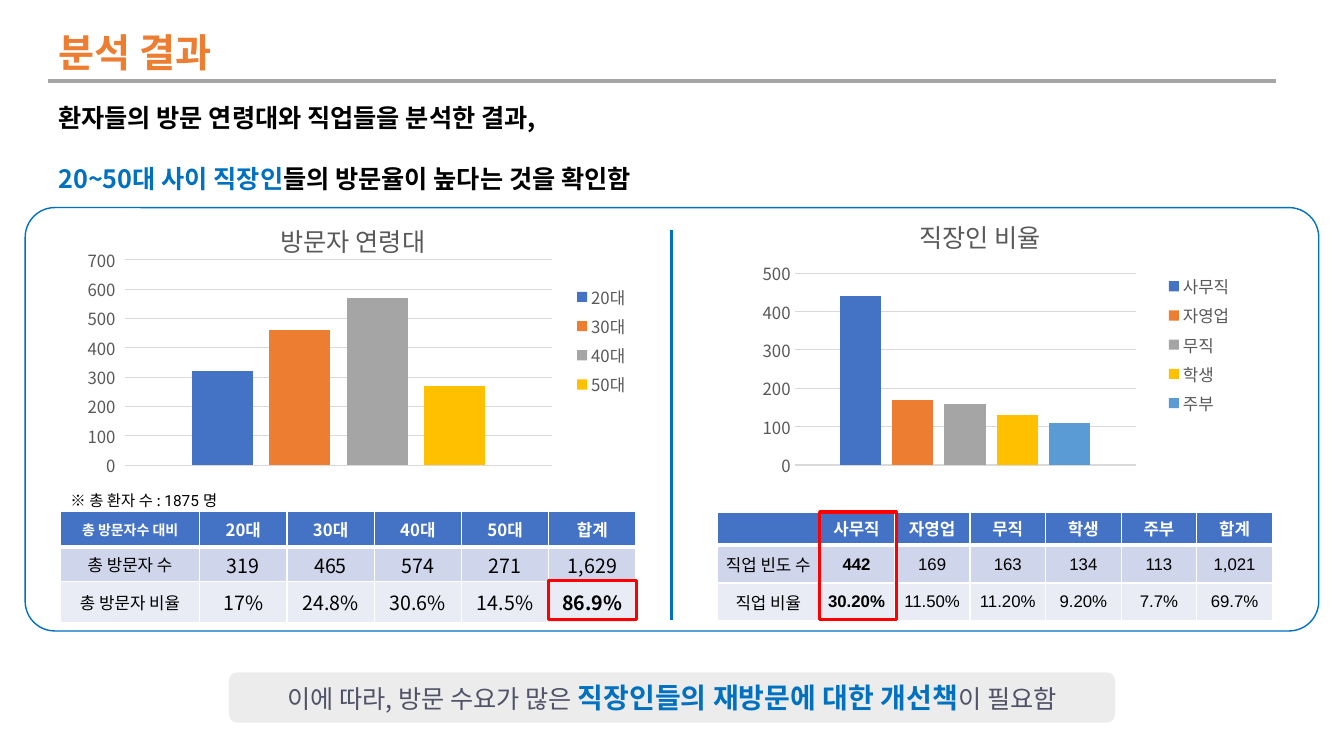
from dataclasses import dataclass

from lxml import etree
from pptx import Presentation
from pptx.chart.data import CategoryChartData
from pptx.dml.color import RGBColor
from pptx.enum.chart import XL_CHART_TYPE as Chart, XL_LEGEND_POSITION as Legend, XL_TICK_MARK as Tick
from pptx.enum.shapes import MSO_CONNECTOR as Conn, MSO_SHAPE as Shape
from pptx.enum.text import MSO_ANCHOR as Anchor, PP_ALIGN as Align
from pptx.oxml.ns import qn
from pptx.util import Inches, Pt


@dataclass(frozen=True)
class Theme:
    font: str = "Noto Sans CJK KR"
    arial: str = "Arial"
    roboto: str = "Roboto"
    orange: str = "ED7D31"
    blue: str = "0070C0"
    gray: str = "A5A5A5"
    black: str = "000000"
    white: str = "FFFFFF"
    red: str = "FF0000"
    slate: str = "505267"
    pill: str = "181717"
    axis: str = "595959"
    grid: str = "D9D9D9"
    rows: tuple = ("4472C4", "CFD5EA", "E9EBF5")
    series: tuple = ("4472C4", "ED7D31", "A5A5A5", "FFC000", "5B9BD5")
    title: int = 28
    strong: int = 20
    body: int = 18
    data: int = 14
    label: int = 12
    note: int = 11
    small: int = 10


T = Theme()

TITLE = "분석 결과"
SUMMARY = [
    (1.5, [("환자들의 방문 연령대와 직업들을 분석한 결과,", T.black)]),
    (2.0, [("20~50대 사이 직장인", T.blue), ("들의 방문율이 높다는 것을 확인함", T.black)]),
]
NOTE = [("※ 총 환자 수 : ", T.font), ("1875\u00a0명", T.roboto)]
CONCLUSION = [
    ("이에 따라, 방문 수요가 많은 ", T.body, T.slate, False),
    ("직장인들의 재방문에 대한 개선책", T.strong, T.blue, True),
    ("이 필요함", T.body, T.slate, False),
]
CHARTS = [
    dict(title="방문자 연령대", at=(0.71, 2.02, 5.63, 2.72), top=700, tick=Tick.OUTSIDE,
         title_at=(0.36, 0.04), plot=(0.095, 0.205, 0.751, 0.749),
         values={"20대": 320, "30대": 460, "40대": 570, "50대": 270}),
    dict(title="직장인 비율", at=(7.32, 2.06, 5.01, 2.72), top=500, tick=Tick.NONE,
         title_at=(0.35, 0.01), plot=(0.112, 0.24, 0.675, 0.699),
         values={"사무직": 440, "자영업": 170, "무직": 160, "학생": 130, "주부": 110}),
]
TABLES = [
    dict(at=(0.6, 5.07), first=1.38, other=0.866, heights=(0.36, 0.34, 0.41), font=T.font,
         corner=T.small, data=T.data, margins=(0.1, 0.03), bold={(2, 5)},
         cells=[["총 방문자수 대비", "20대", "30대", "40대", "50대", "합계"],
                ["총 방문자 수", "319", "465", "574", "271", "1,629"],
                ["총 방문자 비율", "17%", "24.8%", "30.6%", "14.5%", "86.9%"]]),
    dict(at=(7.12, 5.08), first=1.0, other=0.75, heights=(0.33, 0.375, 0.375), font=T.arial,
         corner=T.label, data=T.label, margins=(0.01, 0.01), bold={(1, 1), (2, 1)},
         cells=[["", "사무직", "자영업", "무직", "학생", "주부", "합계"],
                ["직업 빈도 수", "442", "169", "163", "134", "113", "1,021"],
                ["직업 비율", "30.20%", "11.50%", "11.20%", "9.20%", "7.7%", "69.7%"]]),
]
HIGHLIGHTS = [(5.44, 5.76, 0.87, 0.39), (8.13, 5.08, 0.76, 1.07)]


def rgb(color):
    return RGBColor.from_string(color)


def style(font, size, color, bold=False, name=T.font):
    font.size, font.bold, font.name = Pt(size), bold, name
    font.color.rgb = rgb(color)


def add_run(p, text, size, color, bold=False, name=T.font):
    r = p.add_run()
    r.text = text
    style(r.font, size, color, bold, name)
    etree.SubElement(r.font._element, qn("a:ea"), typeface=T.font)


def add_box(slide, kind, at, line=None, width=1):
    sp = slide.shapes.add_shape(kind, *map(Inches, at))
    sp.shadow.inherit = False
    sp.fill.background()
    if line:
        sp.line.color.rgb, sp.line.width = rgb(line), Pt(width)
    else:
        sp.line.fill.background()
    return sp


def add_line(slide, ends, color, width):
    line = slide.shapes.add_connector(Conn.STRAIGHT, *map(Inches, ends))
    line.line.color.rgb, line.line.width = rgb(color), Pt(width)
    etree.SubElement(line._element.spPr, qn("a:effectLst"))


def add_text(slide, at):
    tf = slide.shapes.add_textbox(*map(Inches, at)).text_frame
    tf.word_wrap = True
    return tf


def place(parent, index, **values):
    for old in parent.findall(qn("c:layout")):
        parent.remove(old)
    layout = etree.Element(qn("c:layout"))
    manual = etree.SubElement(layout, qn("c:manualLayout"))
    for tag, value in values.items():
        etree.SubElement(manual, qn(f"c:{tag}"), val=str(value))
    parent.insert(index, layout)


def add_column_chart(slide, item):
    data = CategoryChartData()
    data.categories = ["1"]
    for name, value in item["values"].items():
        data.add_series(name, [value])
    chart = slide.shapes.add_chart(Chart.COLUMN_CLUSTERED, *map(Inches, item["at"]), data).chart
    style(chart.font, T.small, T.black)
    add_run(chart.chart_title.text_frame.paragraphs[0], item["title"], T.body, T.axis)
    x, y = item["title_at"]
    place(chart.chart_title._element, 1, xMode="edge", yMode="edge", x=x, y=y)
    x, y, w, h = item["plot"]
    place(chart._chartSpace.chart.plotArea, 0, layoutTarget="inner",
          xMode="edge", yMode="edge", x=x, y=y, w=w, h=h)
    chart.has_legend = True
    chart.legend.position, chart.legend.include_in_layout = Legend.RIGHT, False
    style(chart.legend.font, T.label, T.axis)
    chart.category_axis.visible = False
    axis = chart.value_axis
    axis.minimum_scale, axis.maximum_scale, axis.major_unit = 0, item["top"], 100
    axis.major_tick_mark = item["tick"]
    axis.format.line.fill.background()
    axis.major_gridlines.format.line.color.rgb = rgb(T.grid)
    axis.major_gridlines.format.line.width = Pt(0.75)
    style(axis.tick_labels.font, T.label, T.axis)
    plot = chart.plots[0]
    plot.vary_by_categories, plot.gap_width, plot.overlap = False, 219, -27
    for series, color in zip(plot.series, T.series):
        series.format.fill.solid()
        series.format.fill.fore_color.rgb = rgb(color)


def set_borders(cell, row):
    widths = {"lnL": 1, "lnR": 1, "lnT": 3 if row == 1 else 1, "lnB": 1 if row else 3}
    for i, (tag, width) in enumerate(widths.items()):
        ln = etree.Element(qn(f"a:{tag}"), w=str(Pt(width)))
        fill = etree.SubElement(ln, qn("a:solidFill"))
        etree.SubElement(fill, qn("a:srgbClr"), val=T.white)
        cell._tc.get_or_add_tcPr().insert(i, ln)


def add_data_table(slide, item):
    cells = item["cells"]
    widths = [item["first"]] + [item["other"]] * (len(cells[0]) - 1)
    size = (sum(widths), sum(item["heights"]))
    table = slide.shapes.add_table(len(cells), len(widths), *map(Inches, item["at"] + size)).table
    for col, width in zip(table.columns, widths):
        col.width = Inches(width)
    side, edge = map(Inches, item["margins"])
    for i, texts in enumerate(cells):
        table.rows[i].height = Inches(item["heights"][i])
        for j, text in enumerate(texts):
            cell = table.cell(i, j)
            cell.fill.solid()
            cell.fill.fore_color.rgb = rgb(T.rows[i])
            cell.vertical_anchor = Anchor.MIDDLE
            cell.margin_left = cell.margin_right = side
            cell.margin_top = cell.margin_bottom = edge
            set_borders(cell, i)
            p = cell.text_frame.paragraphs[0]
            p.alignment = Align.CENTER
            points = item["corner"] if i == j == 0 else item["data"] if i and j else T.label
            if text:
                add_run(p, text, points, T.black if i else T.white,
                        i == 0 or (i, j) in item["bold"], item["font"])


def main():
    prs = Presentation()
    prs.slide_width, prs.slide_height = Inches(13.33), Inches(7.5)
    slide = prs.slides.add_slide(prs.slide_layouts[5])

    title = slide.shapes.title
    title.left, title.top, title.width, title.height = map(Inches, (0.48, 0.23, 1.91, 0.57))
    title.text_frame.word_wrap = False
    title.text_frame.vertical_anchor = Anchor.MIDDLE
    p = title.text_frame.paragraphs[0]
    p.alignment = Align.LEFT
    add_run(p, TITLE, T.title, T.orange, True)
    add_line(slide, (0.48, 0.8, 12.66, 0.8), T.gray, 3)

    tf = add_text(slide, (0.48, 0.82, 12.18, 1.06))
    for i, (spacing, parts) in enumerate(SUMMARY):
        p = tf.add_paragraph() if i else tf.paragraphs[0]
        p.line_spacing = spacing
        for text, color in parts:
            add_run(p, text, T.body, color, True)

    panel = add_box(slide, Shape.ROUNDED_RECTANGLE, (0.25, 2.06, 12.83, 4.2), T.blue)
    panel.adjustments[0] = 0.07
    add_line(slide, (6.66, 2.28, 6.66, 6.15), T.blue, 1.5)
    for item in CHARTS:
        add_column_chart(slide, item)
    for item in TABLES:
        add_data_table(slide, item)
    p = add_text(slide, (0.6, 4.82, 3.32, 0.29)).paragraphs[0]
    for text, name in NOTE:
        add_run(p, text, T.note, T.black, name=name)
    for at in HIGHLIGHTS:
        add_box(slide, Shape.RECTANGLE, at, T.red, 2.25)

    pill = add_box(slide, Shape.ROUNDED_RECTANGLE, (2.27, 6.67, 8.79, 0.5))
    pill.fill.solid()
    pill.fill.fore_color.rgb = rgb(T.pill)
    color = pill._element.spPr.find(qn("a:solidFill"))[0]
    etree.SubElement(color, qn("a:alpha"), val="8000")
    pill.text_frame.vertical_anchor = Anchor.MIDDLE
    p = pill.text_frame.paragraphs[0]
    p.alignment = Align.CENTER
    for part in CONCLUSION:
        add_run(p, *part)

    prs.save("out.pptx")


if __name__ == "__main__":
    main()
